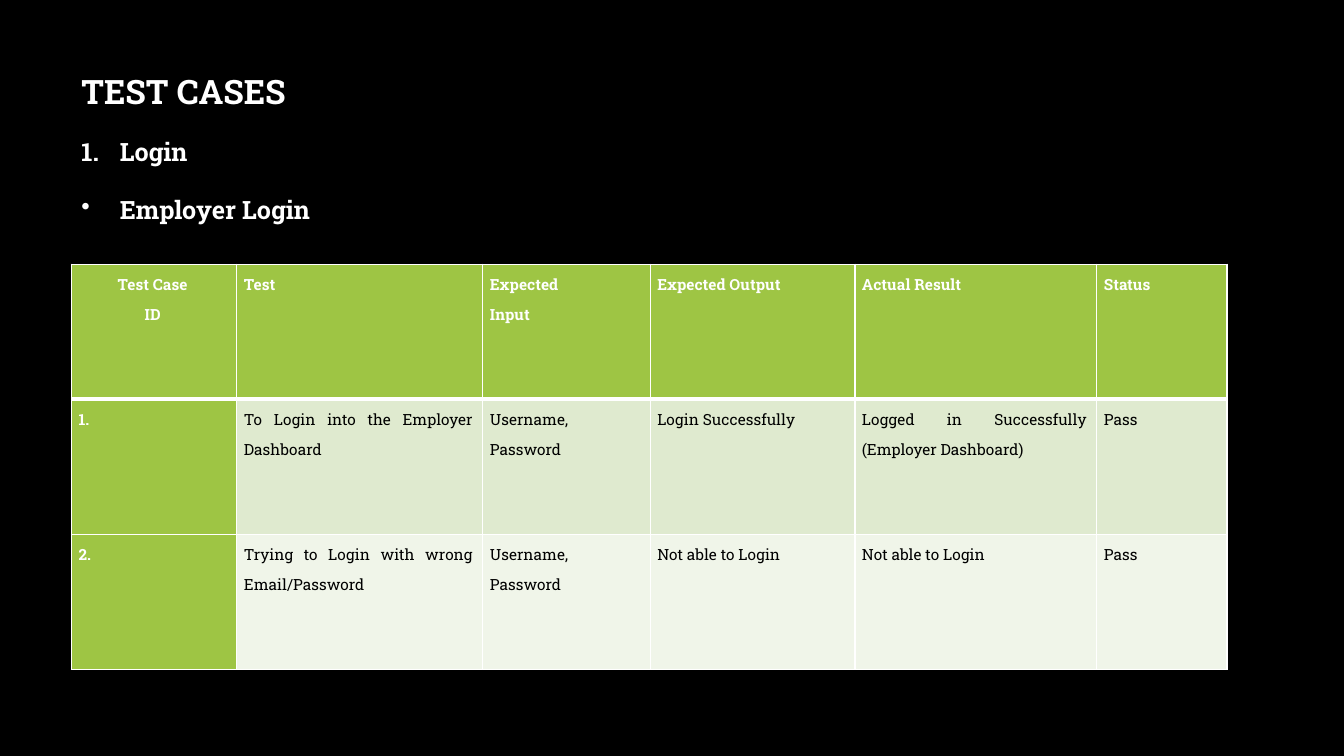
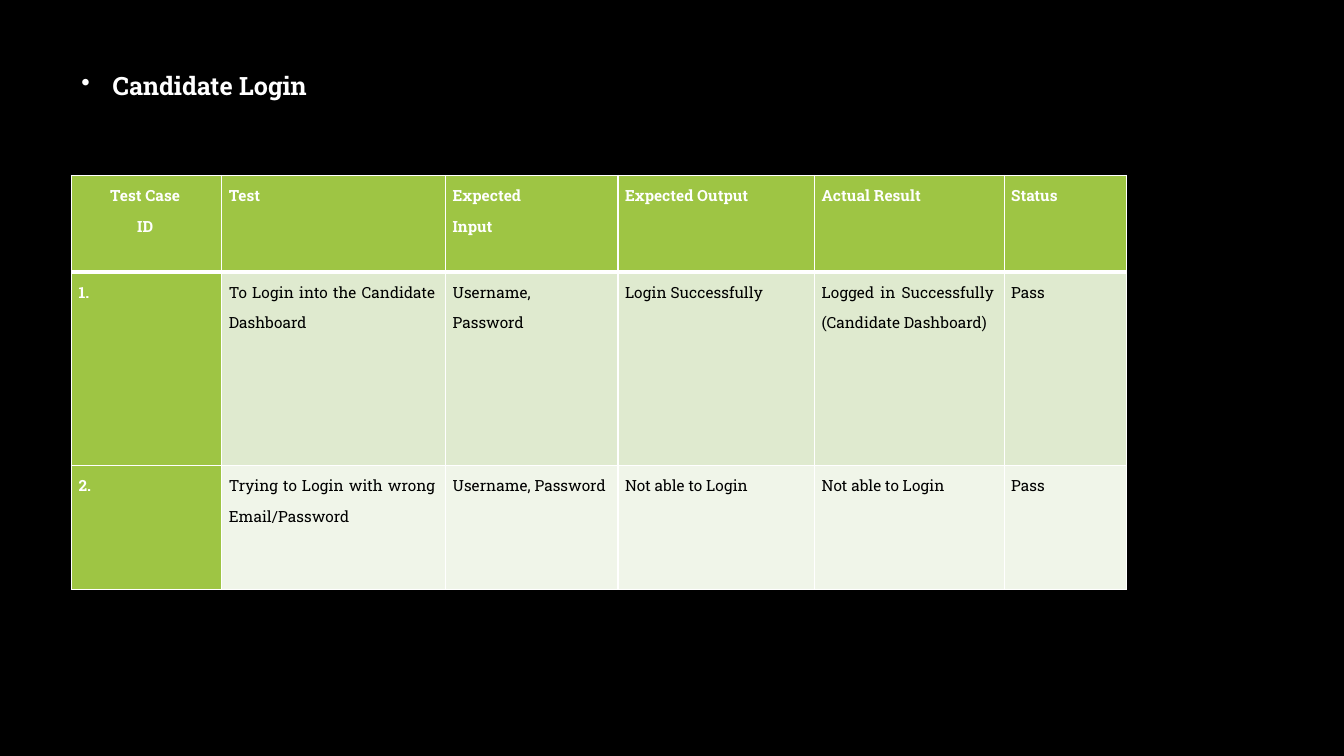
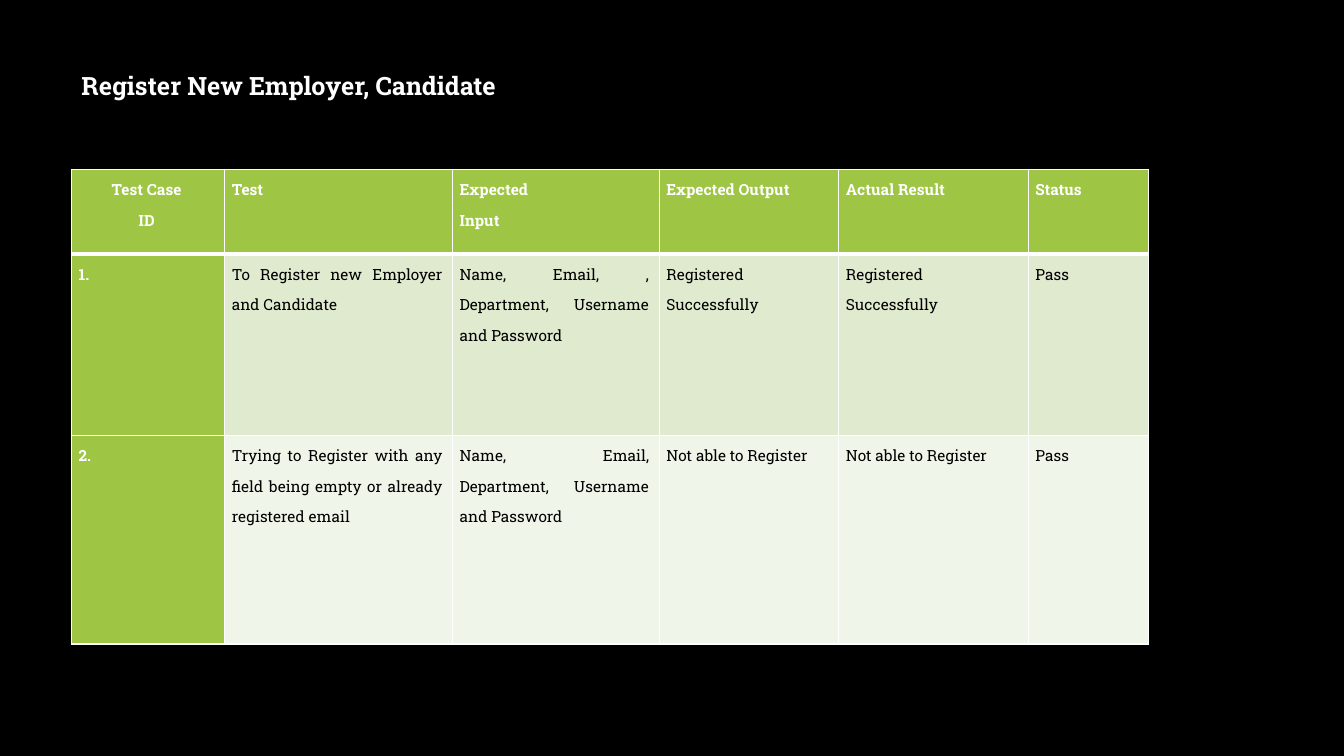
"""Build three slides of login and registration test cases."""
import dataclasses

import lxml.etree
import pptx
import pptx.dml.color
import pptx.enum.text
import pptx.oxml.ns
import pptx.util

Inches = pptx.util.Inches
Pt = pptx.util.Pt
Align = pptx.enum.text.PP_ALIGN
qn = pptx.oxml.ns.qn


@dataclasses.dataclass(frozen=True)
class Theme:
    font: str = "Roboto Slab"
    background: str = "000000"
    light: str = "FFFFFF"
    dark: str = "000000"
    accent: str = "9EC544"
    bands: tuple = ("DFEACF", "F0F5E9")
    title_size: int = 24
    heading_size: int = 18
    cell_size: int = 11
    rule: int = 1
    header_rule: int = 3
    left: float = 0.71


theme = Theme()
header = ["Test Case\nID", "Test", "Expected\nInput", "Expected Output", "Actual Result", "Status"]
bullet = ("buChar", {"char": "•"})
number = ("buAutoNum", {"type": "arabicPeriod"})

slides = [
    {
        "headings": [
            (0.65, 8.04, 0.5, theme.title_size, 0, [("TEST CASES", None)]),
            (1.3, 11.32, 1.31, theme.heading_size, 0.38, [("Login", number), ("Employer Login", bullet)]),
        ],
        "top": 2.62,
        "columns": [1.64, 2.44, 1.66, 2.03, 2.4, 1.29],
        "rows": [1.34, 1.34, 1.34],
        "cases": [
            ["To Login into the Employer Dashboard", "Username,\nPassword", "Login Successfully",
             "Logged in Successfully (Employer Dashboard)"],
            ["Trying to Login with wrong Email/Password", "Username, Password", "Not able to Login",
             "Not able to Login"],
        ],
    },
    {
        "headings": [(0.65, 8.04, 0.4, theme.heading_size, 0.31, [("Candidate Login", bullet)])],
        "top": 1.74,
        "columns": [1.49, 2.22, 1.71, 1.95, 1.88, 1.21],
        "rows": [0.96, 1.92, 1.23],
        "cases": [
            ["To Login into the Candidate Dashboard", "Username,\nPassword", "Login Successfully",
             "Logged in Successfully (Candidate Dashboard)"],
            ["Trying to Login with wrong Email/Password", "Username, Password", "Not able to Login",
             "Not able to Login"],
        ],
    },
    {
        "headings": [(0.65, 8.04, 0.4, theme.heading_size, 0, [("Register New Employer, Candidate", None)])],
        "top": 1.68,
        "columns": [1.52, 2.26, 2.05, 1.78, 1.88, 1.19],
        "rows": [0.84, 1.8, 2.07],
        "cases": [
            ["To Register new Employer and Candidate", "Name, Email, , Department, Username and Password",
             "Registered Successfully", "Registered Successfully"],
            ["Trying to Register with any field being empty or already registered email",
             "Name, Email, Department, Username and Password", "Not able to Register", "Not able to Register"],
        ],
    },
]


def format_runs(paragraph, size, color, bold):
    for run in paragraph.runs:
        run.font.name = theme.font
        run.font.size = Pt(size)
        run.font.bold = bold
        run.font.color.rgb = pptx.dml.color.RGBColor.from_string(color)


def add_border(cell, side, width):
    line = lxml.etree.SubElement(cell._tc.get_or_add_tcPr(), qn("a:ln" + side), w=str(Pt(width)))
    fill = lxml.etree.SubElement(line, qn("a:solidFill"))
    lxml.etree.SubElement(fill, qn("a:srgbClr"), val=theme.light)


presentation = pptx.Presentation()
presentation.slide_width = Inches(13.33)
presentation.slide_height = Inches(7.5)

for content in slides:
    slide = presentation.slides.add_slide(presentation.slide_layouts[6])
    slide.background.fill.solid()
    slide.background.fill.fore_color.rgb = pptx.dml.color.RGBColor.from_string(theme.background)

    for top, width, height, size, indent, lines in content["headings"]:
        box = slide.shapes.add_textbox(Inches(theme.left), Inches(top), Inches(width), Inches(height))
        frame = box.text_frame
        frame.word_wrap = True
        frame.auto_size = pptx.enum.text.MSO_AUTO_SIZE.SHAPE_TO_FIT_TEXT
        frame.text = "\n".join(text for text, marker in lines)
        for index, (paragraph, (text, marker)) in enumerate(zip(frame.paragraphs, lines)):
            if index:
                paragraph.space_before = Pt(20)
            if marker:
                properties = paragraph._p.get_or_add_pPr()
                properties.set("marL", str(Inches(indent)))
                properties.set("indent", str(-Inches(indent)))
                tag, attributes = marker
                lxml.etree.SubElement(properties, qn("a:" + tag), attributes)
            format_runs(paragraph, size, theme.light, True)

    columns, rows = content["columns"], content["rows"]
    table = slide.shapes.add_table(
        len(rows), len(columns), Inches(theme.left), Inches(content["top"]),
        Inches(sum(columns)), Inches(sum(rows))).table
    table.first_row = False
    table.horz_banding = False
    for column, width in zip(table.columns, columns):
        column.width = Inches(width)
    for row, height in zip(table.rows, rows):
        row.height = Inches(height)

    cases = [[f"{index}.", *case, "Pass"] for index, case in enumerate(content["cases"], 1)]
    for row_index, texts in enumerate([header, *cases]):
        for column_index, text in enumerate(texts):
            cell = table.cell(row_index, column_index)
            is_label = row_index == 0 or column_index == 0
            for side in "LRTB":
                under_header = (row_index, side) in ((0, "B"), (1, "T"))
                add_border(cell, side, theme.header_rule if under_header else theme.rule)
            cell.fill.solid()
            cell.fill.fore_color.rgb = pptx.dml.color.RGBColor.from_string(
                theme.accent if is_label else theme.bands[row_index - 1])
            cell.margin_left, cell.margin_right = Inches(0.07), Inches(0.1)
            cell.margin_top = cell.margin_bottom = 0
            cell.text_frame.text = text
            for paragraph in cell.text_frame.paragraphs:
                paragraph.alignment = Align.CENTER if row_index == column_index == 0 else Align.JUSTIFY
                paragraph.line_spacing = 1.5
                format_runs(paragraph, theme.cell_size, theme.light if is_label else theme.dark, is_label)

presentation.save("out.pptx")
